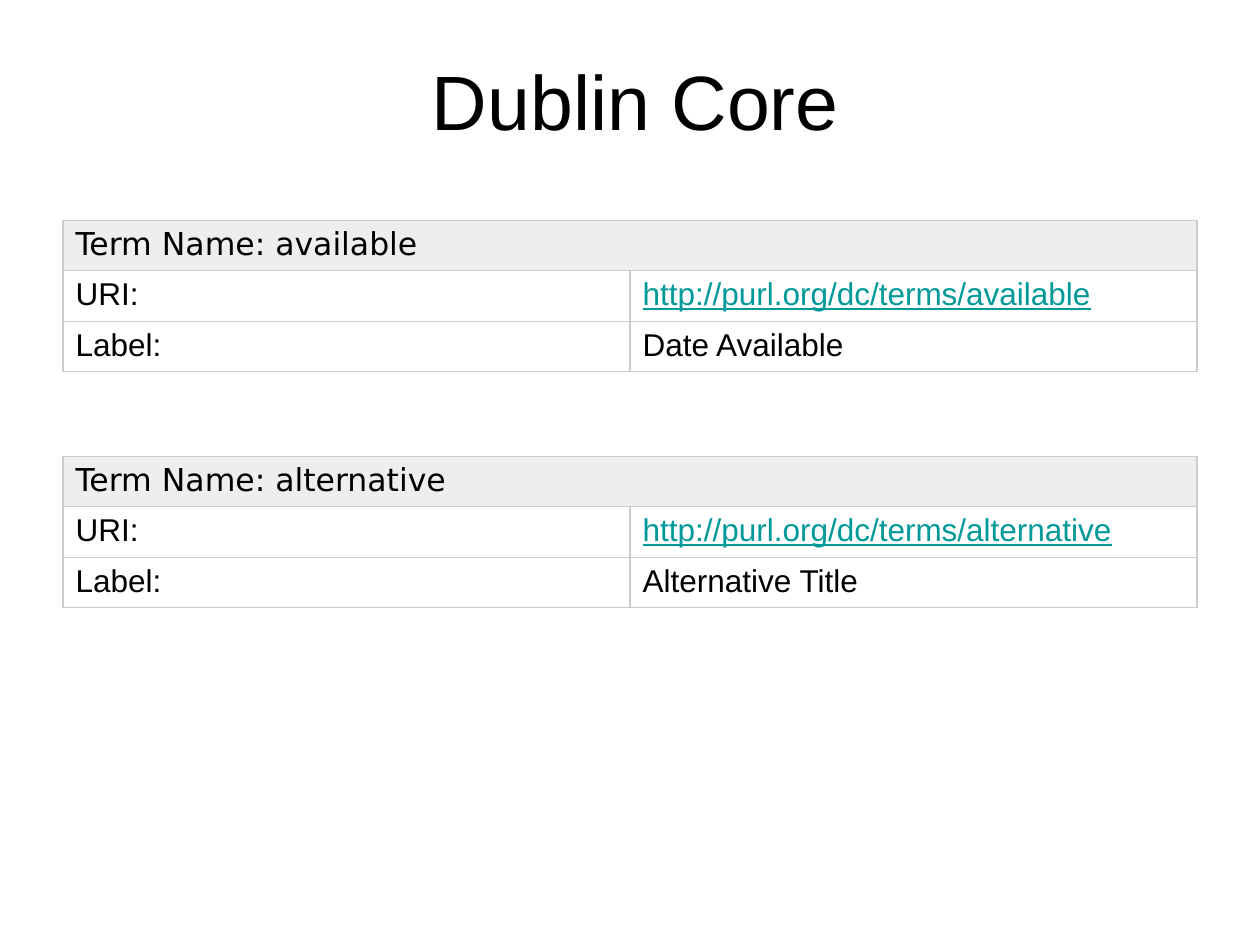
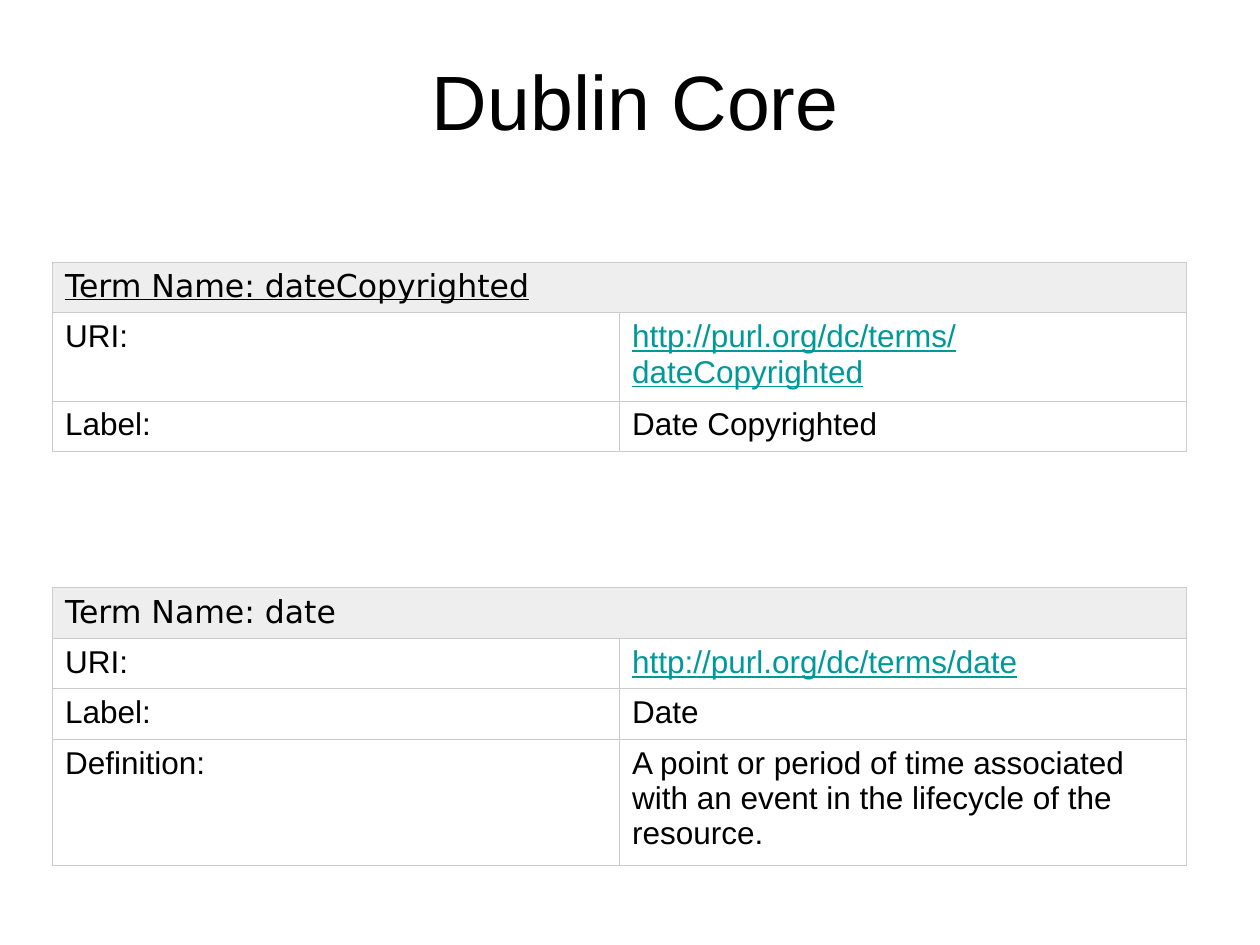
from pptx import Presentation
from pptx.dml.color import RGBColor
from pptx.enum.text import MSO_ANCHOR, PP_ALIGN
from pptx.oxml import parse_xml
from pptx.oxml.ns import nsdecls
from pptx.util import Cm, Pt

COLORS = {"text": "000000", "link": "009999", "header": "EEEEEE", "border": "CCCCCC"}
TITLE = {"name": "Arial", "size": Pt(44)}
BODY = {"name": "Arial", "size": Pt(18)}
HEADING = BODY | {"name": "DejaVu Sans"}
LINK = BODY | {"underline": True}
COLUMN_WIDTH = Cm(11.43)
ROW_HEIGHT = Cm(0.96)
TERMS_URI = "http://purl.org/dc/terms/"

# Each term: top in cm, name, heading format, rows after the URI
SLIDES = [
    {"left": 1.27, "terms": [
        (4.44, "available", HEADING, [("Label:", "Date Available")]),
        (9.2, "alternative", HEADING, [("Label:", "Alternative Title")]),
    ]},
    {"left": 1.06, "terms": [
        (5.29, "dateCopyrighted", HEADING | {"underline": True},
         [("Label:", "Date Copyrighted")]),
        (11.85, "date", HEADING,
         [("Label:", "Date"),
          ("Definition:", "A point or period of time associated with an event "
                          "in the lifecycle of the resource.")]),
    ]},
]


def write(frame, text, font_format, color="text"):
    run = frame.paragraphs[0].add_run()
    run.text = text
    for attribute, value in font_format.items():
        setattr(run.font, attribute, value)
    run.font.color.rgb = RGBColor.from_string(COLORS[color])


def add_borders(cell):
    properties = cell._tc.get_or_add_tcPr()
    for side in ("lnL", "lnR", "lnT", "lnB"):
        properties.append(parse_xml(
            f'<a:{side} {nsdecls("a")} w="{Pt(0.75)}"><a:solidFill>'
            f'<a:srgbClr val="{COLORS["border"]}"/></a:solidFill></a:{side}>'))


prs = Presentation()
prs.slide_width, prs.slide_height = Cm(25.4), Cm(19.05)

for content in SLIDES:
    slide = prs.slides.add_slide(prs.slide_layouts[6])
    title = slide.shapes.add_textbox(Cm(1.06), Cm(0.42), Cm(23.5), Cm(3.18)).text_frame
    title.word_wrap = True
    title.vertical_anchor = MSO_ANCHOR.MIDDLE
    title.paragraphs[0].alignment = PP_ALIGN.CENTER
    write(title, "Dublin Core", TITLE)

    for top, name, heading_format, details in content["terms"]:
        rows = [("URI:", TERMS_URI + name), *details]
        term = slide.shapes.add_table(
            len(rows) + 1, 2, Cm(content["left"]), Cm(top),
            2 * COLUMN_WIDTH, ROW_HEIGHT * (len(rows) + 1)).table
        term.first_row = term.horz_banding = False
        for cell in term.iter_cells():
            add_borders(cell)
            cell.fill.background()

        heading = term.cell(0, 0)
        heading.merge(term.cell(0, 1))
        heading.fill.solid()
        heading.fill.fore_color.rgb = RGBColor.from_string(COLORS["header"])
        write(heading.text_frame, f"Term Name: {name}", heading_format)

        for row, (label, value) in enumerate(rows, start=1):
            write(term.cell(row, 0).text_frame, label, BODY)
            value_style = (LINK, "link") if label == "URI:" else (BODY, "text")
            write(term.cell(row, 1).text_frame, value, *value_style)

prs.save("out.pptx")
